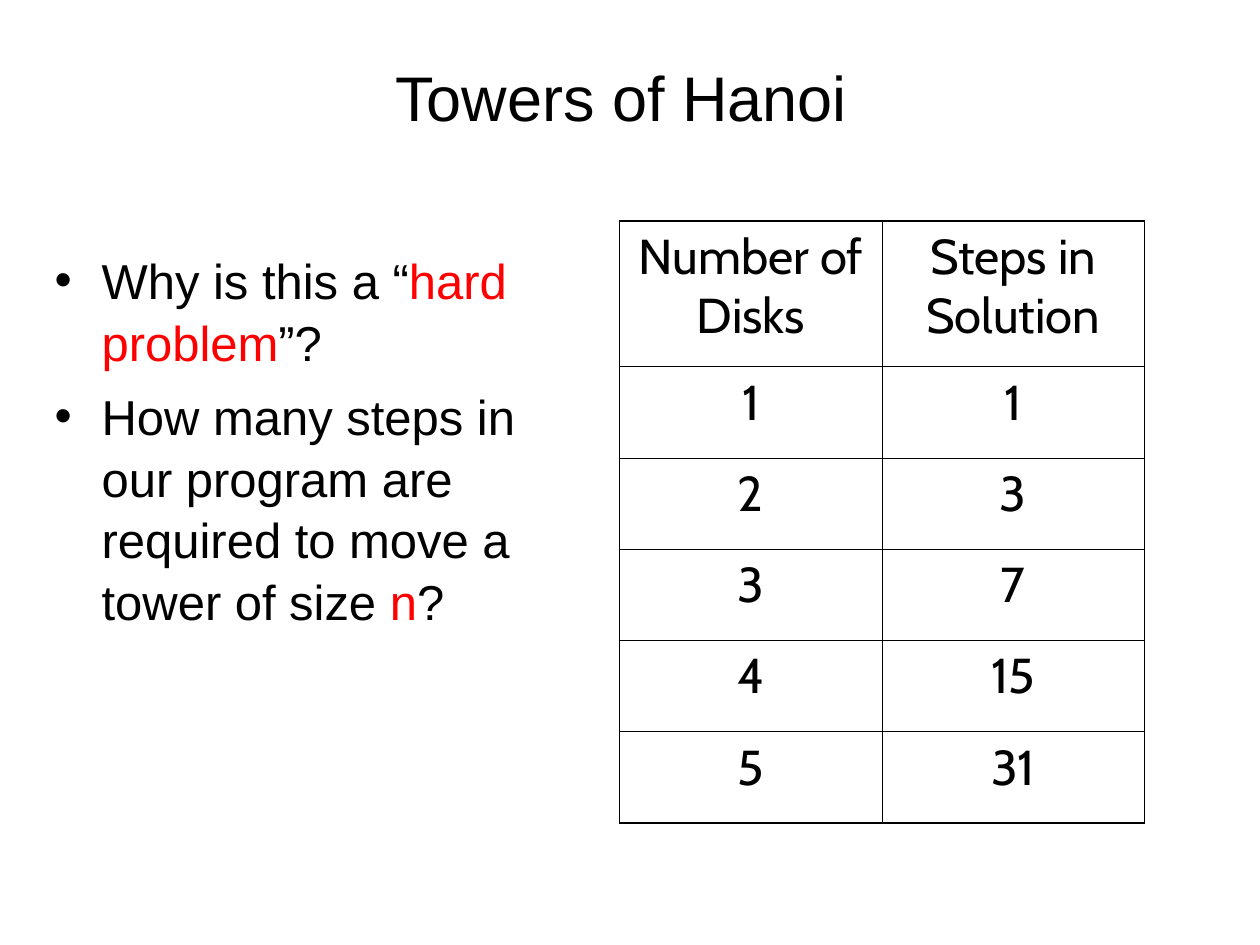
import pptx
import pptx.util
import pptx.dml.color
import pptx.enum.text
import pptx.oxml
import pptx.oxml.ns
from pptx.util import Cm, Pt

BLACK, RED = "000000", "FF0000"
BULLETS = [
    [("Why is this a “", BLACK), ("hard problem", RED), ("”?", BLACK)],
    [("How many steps in our program are required to move a tower of size ", BLACK),
     ("n", RED), ("?", BLACK)],
]
ROWS = [("Number of Disks", "Steps in Solution"),
        ("1", "1"), ("2", "3"), ("3", "7"), ("4", "15"), ("5", "31")]


def colour(value):
    return pptx.dml.color.RGBColor.from_string(value)


def style(font, name, size, value):
    font.name = name
    font.size = Pt(size)
    font.bold = False
    font.color.rgb = colour(value)


def place_title(page, left, top, width, height):
    title = page.shapes.title
    title.left, title.top, title.width, title.height = left, top, width, height
    title.text_frame.text = "Towers of Hanoi"
    title.text_frame.vertical_anchor = pptx.enum.text.MSO_ANCHOR.MIDDLE
    para = title.text_frame.paragraphs[0]
    para.alignment = pptx.enum.text.PP_ALIGN.CENTER
    style(para.runs[0].font, "Arial", 36, BLACK)


def add_bullet(para, indent):
    properties = para._p.get_or_add_pPr()
    properties.set("marL", str(indent))
    properties.set("indent", str(-indent))
    namespace = pptx.oxml.ns.nsdecls("a")
    for markup in (
        f'<a:buClr {namespace}><a:srgbClr val="{BLACK}"/></a:buClr>',
        f'<a:buFont {namespace} typeface="Arial"/>',
        f'<a:buChar {namespace} char="•"/>',
    ):
        properties.append(pptx.oxml.parse_xml(markup))


def place_questions(page, left, top, width, height):
    box = page.shapes.add_textbox(left, top, width, height)
    frame = box.text_frame
    frame.word_wrap = True
    for index, pieces in enumerate(BULLETS):
        para = frame.add_paragraph() if index else frame.paragraphs[0]
        add_bullet(para, Cm(0.95))
        para.line_spacing = 1.05
        if index:
            para.space_before = Pt(7)
        for text, value in pieces:
            span = para.add_run()
            span.text = text
            style(span.font, "Arial", 28, value)


def add_border(cell, side, width):
    cell._tc.get_or_add_tcPr().append(pptx.oxml.parse_xml(
        f'<a:ln{side} {pptx.oxml.ns.nsdecls("a")} w="{Pt(width)}">'
        f'<a:solidFill><a:srgbClr val="{BLACK}"/></a:solidFill></a:ln{side}>'))


def place_table(page, left, top, width, height):
    row_count, column_count = len(ROWS), len(ROWS[0])
    header_height = Cm(2.94)
    table = page.shapes.add_table(row_count, column_count, left, top, width, height).table
    table.first_row = False
    table.horz_banding = False
    for column in table.columns:
        column.width = width // column_count
    for row_index, values in enumerate(ROWS):
        table.rows[row_index].height = (
            (height - header_height) // (row_count - 1) if row_index else header_height)
        for column_index, text in enumerate(values):
            cell = table.cell(row_index, column_index)
            cell.text_frame.text = text
            para = cell.text_frame.paragraphs[0]
            para.alignment = pptx.enum.text.PP_ALIGN.CENTER
            style(para.runs[0].font, "Cabin", 28, BLACK)
            outer_sides = {
                "L": column_index == 0,
                "R": column_index == column_count - 1,
                "T": row_index == 0,
                "B": row_index == row_count - 1,
            }
            for side, is_outer in outer_sides.items():
                add_border(cell, side, 1.08 if is_outer else 0.45)
            cell.fill.background()


def main():
    deck = pptx.Presentation()
    deck.slide_width, deck.slide_height = Cm(25.4), Cm(19.05)
    page = deck.slides.add_slide(deck.slide_layouts[5])
    place_title(page, Cm(1.7), Cm(0.64), Cm(21.64), Cm(2.59))
    place_questions(page, Cm(0.85), Cm(4.87), Cm(10.58), Cm(11.43))
    place_table(page, Cm(12.49), Cm(4.45), Cm(10.58), Cm(12.14))
    deck.save("out.pptx")


if __name__ == "__main__":
    main()
